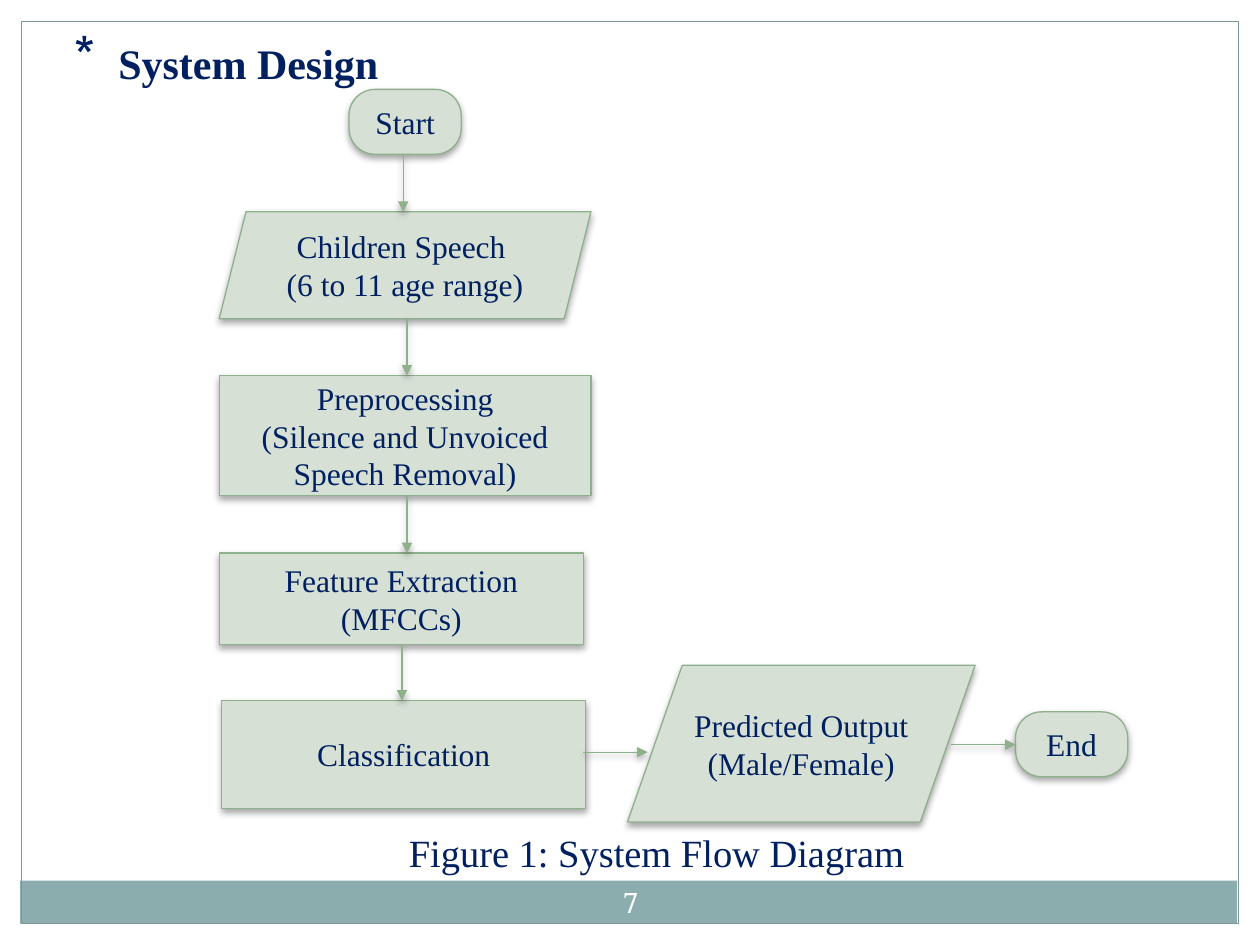
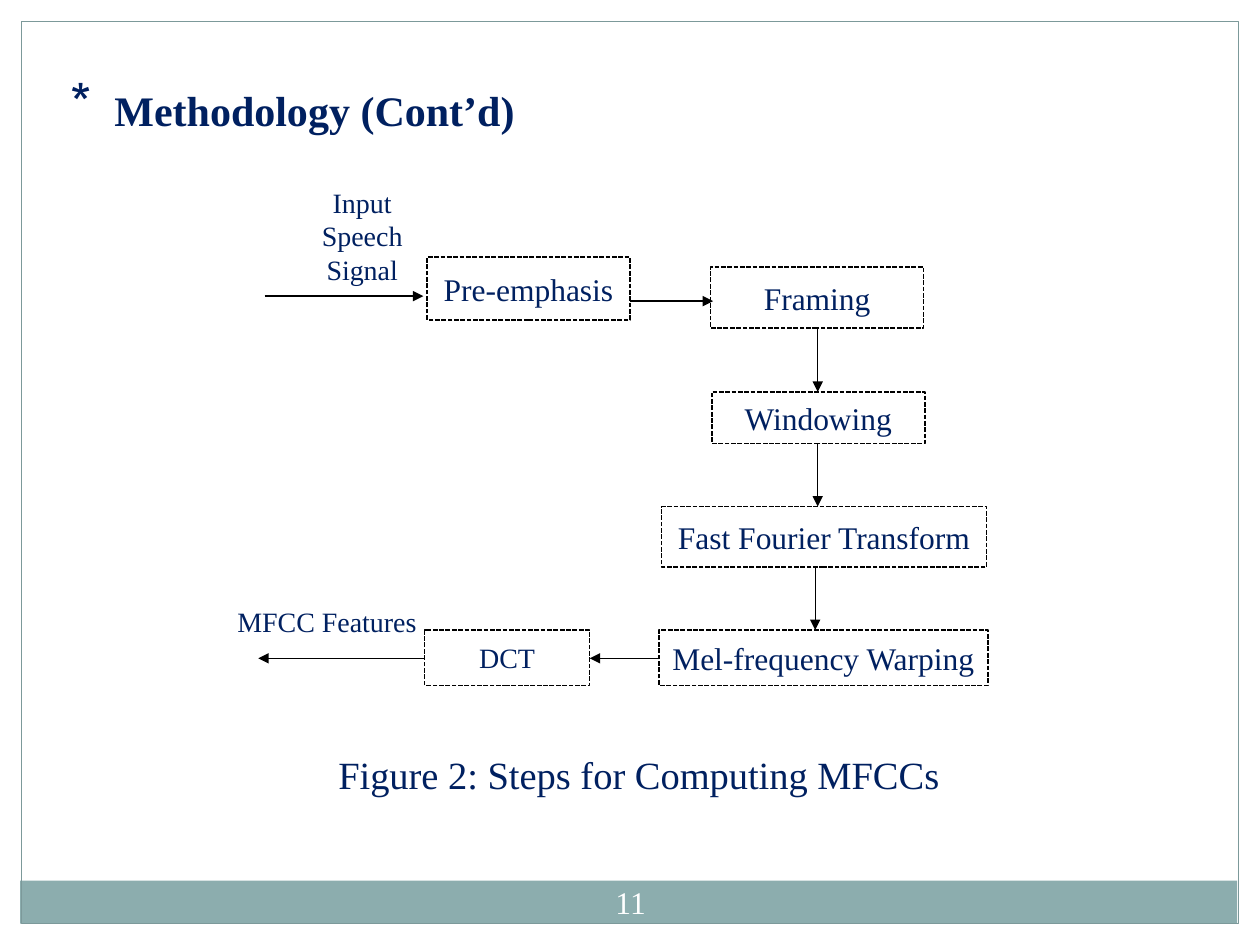
from dataclasses import dataclass

from lxml import etree
from pptx import Presentation
from pptx.dml.color import RGBColor
from pptx.enum.dml import MSO_LINE
from pptx.enum.shapes import MSO_CONNECTOR, MSO_SHAPE
from pptx.enum.text import MSO_ANCHOR, PP_ALIGN
from pptx.oxml.ns import qn
from pptx.util import Inches, Pt

RECT = MSO_SHAPE.RECTANGLE
TERMINAL = MSO_SHAPE.ROUNDED_RECTANGLE
DATA = MSO_SHAPE.PARALLELOGRAM
STRAIGHT = MSO_CONNECTOR.STRAIGHT
SHORT_DASH = MSO_LINE.SQUARE_DOT
CENTER, LEFT = PP_ALIGN.CENTER, PP_ALIGN.LEFT
MIDDLE, TOP = MSO_ANCHOR.MIDDLE, MSO_ANCHOR.TOP

NAVY, WHITE, BLACK = "002060", "FFFFFF", "000000"
BAND, FRAME = "8CADAE", "7C999A"
SAGE, SAGE_EDGE = "D6E0D5", "8FB08C"
SERIF, NUMBER_SERIF = "Times New Roman", "Noto Serif"

# The slide is a grid of 100 columns by 75 rows
COLUMNS, ROWS = 100, 75
SLIDE_WIDTH, SLIDE_HEIGHT = Inches(10), Inches(7.5)


@dataclass(frozen=True)
class Area:
    col: float
    row: float
    cols: float
    rows: float

    @property
    def right(self) -> float:
        return self.col + self.cols

    @property
    def bottom(self) -> float:
        return self.row + self.rows

    def emu(self) -> tuple:
        return x(self.col), y(self.row), x(self.cols), y(self.rows)


@dataclass(frozen=True)
class Style:
    fill: str
    edge: str
    edge_width: float
    dashed: bool = False
    shadow: bool = False


@dataclass(frozen=True)
class Step:
    area: Area
    lines: tuple
    kind: int = RECT
    adjust: float | None = None
    size: int = 18


FLOW = Style(SAGE, SAGE_EDGE, 0.75, shadow=True)
DASHED = Style(WHITE, BLACK, 0.9, dashed=True)


def x(cols: float) -> int:
    return round(SLIDE_WIDTH * cols / COLUMNS)


def y(rows: float) -> int:
    return round(SLIDE_HEIGHT * rows / ROWS)


def color(code: str) -> RGBColor:
    return RGBColor.from_string(code)


def add_xml(parent, tag: str, **attributes: str):
    return etree.SubElement(parent, qn(tag), attributes)


def add_soft_shadow(effects) -> None:
    shadow = add_xml(effects, "a:outerShdw", blurRad=str(Pt(4)), dist=str(Pt(2)),
                     dir="5400000", rotWithShape="0")
    tint = add_xml(shadow, "a:srgbClr", val=BLACK)
    add_xml(tint, "a:alpha", val="35000")


def write(shape, lines: tuple, size: float, ink: str = NAVY, font: str = SERIF,
          bold: bool = False, align=CENTER, anchor=MIDDLE, wrap: bool = True) -> None:
    frame = shape.text_frame
    frame.word_wrap = wrap
    frame.vertical_anchor = anchor
    for index, line in enumerate(lines):
        paragraph = frame.add_paragraph() if index else frame.paragraphs[0]
        paragraph.alignment = align
        run = paragraph.add_run()
        run.text = line
        run.font.name, run.font.size, run.font.bold = font, Pt(size), bold
        run.font.color.rgb = color(ink)


def add_text(slide, area: Area, text: str, size: float, **options):
    box = slide.shapes.add_textbox(*area.emu())
    write(box, (text,), size, **options)
    return box


def add_plain(slide, area: Area, fill: str | None = None, edge: str | None = None,
              edge_width: float = 0.75, kind=RECT):
    shape = slide.shapes.add_shape(kind, *area.emu())
    shape.shadow.inherit = False
    if fill:
        shape.fill.solid()
        shape.fill.fore_color.rgb = color(fill)
    else:
        shape.fill.background()
    if edge:
        shape.line.color.rgb = color(edge)
        shape.line.width = Pt(edge_width)
    else:
        shape.line.fill.background()
    return shape


def add_step(slide, step: Step, style: Style) -> None:
    shape = add_plain(slide, step.area, style.fill, style.edge, style.edge_width, step.kind)
    if step.adjust is not None:
        shape.adjustments[0] = step.adjust
    if style.dashed:
        shape.line.dash_style = SHORT_DASH
    if style.shadow:
        add_soft_shadow(shape._element.spPr.find(qn("a:effectLst")))
    write(shape, step.lines, step.size)


def add_arrow(slide, start: tuple, end: tuple, style: Style) -> None:
    arrow = slide.shapes.add_connector(STRAIGHT, x(start[0]), y(start[1]), x(end[0]), y(end[1]))
    arrow.line.color.rgb = color(style.edge)
    arrow.line.width = Pt(0.75)
    add_xml(arrow.line._get_or_add_ln(), "a:tailEnd", type="triangle")
    effects = add_xml(arrow._element.spPr, "a:effectLst")
    if style.shadow:
        add_soft_shadow(effects)


def add_down(slide, upper: Step, lower: Step, col: float, style: Style) -> None:
    add_arrow(slide, (col, upper.area.bottom), (col, lower.area.row), style)


def add_across(slide, start: float, end: float, row: float, style: Style) -> None:
    add_arrow(slide, (start, row), (end, row), style)


def add_title(slide, col: float, row: float, text: str) -> None:
    title = add_text(slide, Area(col, row, 71.2, 12.5), text, 24, bold=True,
                     align=LEFT, anchor=TOP)
    props = title.text_frame.paragraphs[0]._p.get_or_add_pPr()
    props.set("marL", str(Inches(0.35)))
    props.set("indent", str(-Inches(0.35)))
    add_xml(add_xml(props, "a:buClr"), "a:srgbClr", val=NAVY)
    add_xml(props, "a:buSzPct", val="128000")
    add_xml(props, "a:buChar", char="*")


def add_page(deck, number: str, size: float, font: str):
    """Blank slide with the shared band, frame and page number."""
    slide = deck.slides.add_slide(deck.slide_layouts[6])
    add_plain(slide, Area(1.6, 69.9, 96.6, 3.4), fill=BAND)
    add_plain(slide, Area(1.7, 1.7, 96.6, 71.6), edge=FRAME)
    add_text(slide, Area(46.7, 69.2, 6.7, 4.8), number, size, ink=WHITE, font=font)
    return slide


def build_system_design(deck) -> None:
    slide = add_page(deck, "7", 16, NUMBER_SERIF)
    add_title(slide, 4.9, 2.5, "System Design")

    start = Step(Area(27.7, 7.1, 8.9, 5.15), ("Start",), TERMINAL, 0.4)
    speech = Step(Area(17.4, 16.8, 29.5, 8.5),
                  ("Children Speech ", "(6 to 11 age range)"), DATA, 0.25)
    cleaning = Step(Area(17.4, 29.8, 29.5, 9.55),
                    ("Preprocessing", "(Silence and Unvoiced Speech Removal)"))
    features = Step(Area(17.4, 43.9, 28.9, 7.25), ("Feature Extraction", "(MFCCs)"))
    classifier = Step(Area(17.6, 55.6, 28.9, 8.55), ("Classification",))
    output = Step(Area(49.8, 52.8, 27.6, 12.45),
                  ("Predicted Output", "(Male/Female)"), DATA, 0.35)
    end = Step(Area(80.6, 56.5, 8.9, 5.15), ("End",), TERMINAL, 0.4)

    chain = (start, speech, cleaning, features, classifier)
    for step in (*chain, output, end):
        add_step(slide, step, FLOW)
    for upper, lower, col in zip(chain, chain[1:], (32, 32.3, 32.3, 31.9)):
        add_down(slide, upper, lower, col, FLOW)
    add_across(slide, features.area.right, 51.4, 59.7, FLOW)
    add_across(slide, 75.5, end.area.col, 59.1, FLOW)

    add_text(slide, Area(31.2, 65.3, 41.8, 4.7), "Figure 1: System Flow Diagram", 22,
             anchor=TOP, wrap=False)


def build_methodology(deck) -> None:
    slide = add_page(deck, "11", 18, SERIF)
    add_title(slide, 4.6, 6.2, "Methodology (Cont’d)")

    emphasis = Step(Area(33.9, 20.4, 16.1, 5), ("Pre-emphasis",))
    framing = Step(Area(56.4, 21.2, 16.9, 4.85), ("Framing",))
    windowing = Step(Area(56.5, 31.1, 16.9, 4.1), ("Windowing",))
    fourier = Step(Area(52.5, 40.2, 25.8, 4.8), ("Fast Fourier Transform",))
    warping = Step(Area(52.3, 50, 26.1, 4.4), ("Mel-frequency Warping",))
    dct = Step(Area(33.7, 50, 13.1, 4.4), ("DCT",), size=16)

    chain = (framing, windowing, fourier, warping)
    for step in (emphasis, *chain, dct):
        add_step(slide, step, DASHED)
    for upper, lower, col in zip(chain, chain[1:], (64.9, 64.9, 64.7)):
        add_down(slide, upper, lower, col, DASHED)

    # Signal enters top left, features leave bottom left
    add_across(slide, 21, 33.6, 23.5, DASHED)
    add_across(slide, emphasis.area.right, 56.6, 23.9, DASHED)
    add_across(slide, warping.area.col, dct.area.right, 52.25, DASHED)
    add_across(slide, dct.area.col, 20.5, 52.25, DASHED)

    add_text(slide, Area(22.1, 14.2, 13.3, 9), "Input Speech Signal", 16, anchor=TOP)
    add_text(slide, Area(14.2, 47.5, 23.5, 3.6), "MFCC Features", 16, anchor=TOP)
    add_text(slide, Area(23, 59.1, 55.4, 4.6), "Figure 2: Steps for Computing MFCCs", 22,
             anchor=TOP)


presentation = Presentation()
presentation.slide_width, presentation.slide_height = SLIDE_WIDTH, SLIDE_HEIGHT
build_system_design(presentation)
build_methodology(presentation)
presentation.save("out.pptx")
